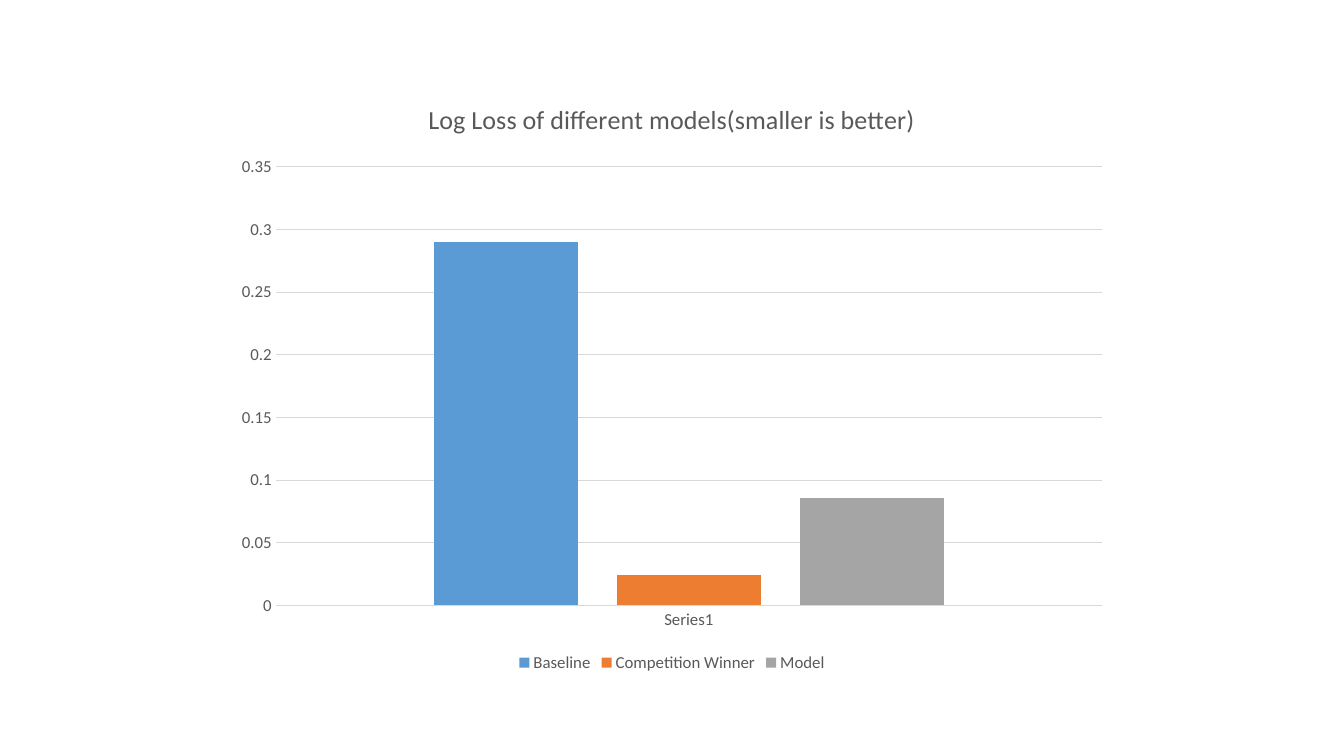
from typing import NamedTuple

from pptx import Presentation
from pptx.chart.data import CategoryChartData
from pptx.dml.color import RGBColor
from pptx.enum.chart import XL_CHART_TYPE as ChartType
from pptx.enum.chart import XL_LEGEND_POSITION as LegendPos
from pptx.enum.chart import XL_TICK_MARK as Tick
from pptx.util import Inches, Pt

FONT, TEXT, RULE = "Calibri", "595959", "D9D9D9"


class ModelLoss(NamedTuple):
    """One model, its log loss and its column colour."""
    name: str
    loss: float
    color: str


MODELS = [
    ModelLoss("Baseline", 0.29, "5B9BD5"),
    ModelLoss("Competition Winner", 0.024, "ED7D31"),
    ModelLoss("Model", 0.086, "A5A5A5"),
]


def rgb(color: str) -> RGBColor:
    """Turn a hex string into a colour."""
    return RGBColor.from_string(color)


def style_font(font, size: float) -> None:
    """Apply the chart's typeface and text colour."""
    font.name, font.size, font.bold = FONT, Pt(size), False
    font.color.rgb = rgb(TEXT)


def style_line(line) -> None:
    """Draw a thin grey rule."""
    line.color.rgb, line.width = rgb(RULE), Pt(0.75)


def add_loss_chart(s, left: int, top: int, width: int, height: int):
    """Add the column chart with one series per model."""
    data = CategoryChartData()
    data.categories = ["Series1"]
    for model in MODELS:
        data.add_series(model.name, [model.loss])
    chart = s.shapes.add_chart(
        ChartType.COLUMN_CLUSTERED, left, top, width, height, data).chart
    style_font(chart.font, 12)

    plot = chart.plots[0]
    plot.gap_width, plot.overlap, plot.vary_by_categories = 219, -27, False
    for series, model in zip(plot.series, MODELS):
        series.format.fill.solid()
        series.format.fill.fore_color.rgb = rgb(model.color)
    return chart


def style_axes(chart) -> None:
    """Set the scale, rules and labels of both axes."""
    for axis in (chart.category_axis, chart.value_axis):
        axis.major_tick_mark = axis.minor_tick_mark = Tick.NONE
        style_font(axis.tick_labels.font, 12)
    style_line(chart.category_axis.format.line)
    value = chart.value_axis
    value.minimum_scale, value.maximum_scale, value.major_unit = 0, 0.35, 0.05
    value.tick_labels.number_format = "General"
    value.tick_labels.number_format_is_linked = False
    value.format.line.fill.background()
    style_line(value.major_gridlines.format.line)


def add_title_and_legend(chart, title: str) -> None:
    """Put the title above the plot and the legend below it."""
    tf = chart.chart_title.text_frame
    tf.text = title
    style_font(tf.paragraphs[0].font, 18.6)
    chart.chart_title.include_in_layout = False
    chart.has_legend = True
    chart.legend.position = LegendPos.BOTTOM
    chart.legend.include_in_layout = False
    style_font(chart.legend.font, 12)


def main() -> None:
    """Build the slide and save it."""
    prs = Presentation()
    prs.slide_width, prs.slide_height = Inches(13.33), Inches(7.5)
    s = prs.slides.add_slide(prs.slide_layouts[6])
    width, height = prs.slide_width * 2 // 3, int(prs.slide_height * 0.79)
    chart = add_loss_chart(
        s, (prs.slide_width - width) // 2, (prs.slide_height - height) // 2,
        width, height)
    style_axes(chart)
    add_title_and_legend(chart, "Log Loss of different models(smaller is better)")
    prs.save("out.pptx")


main()
